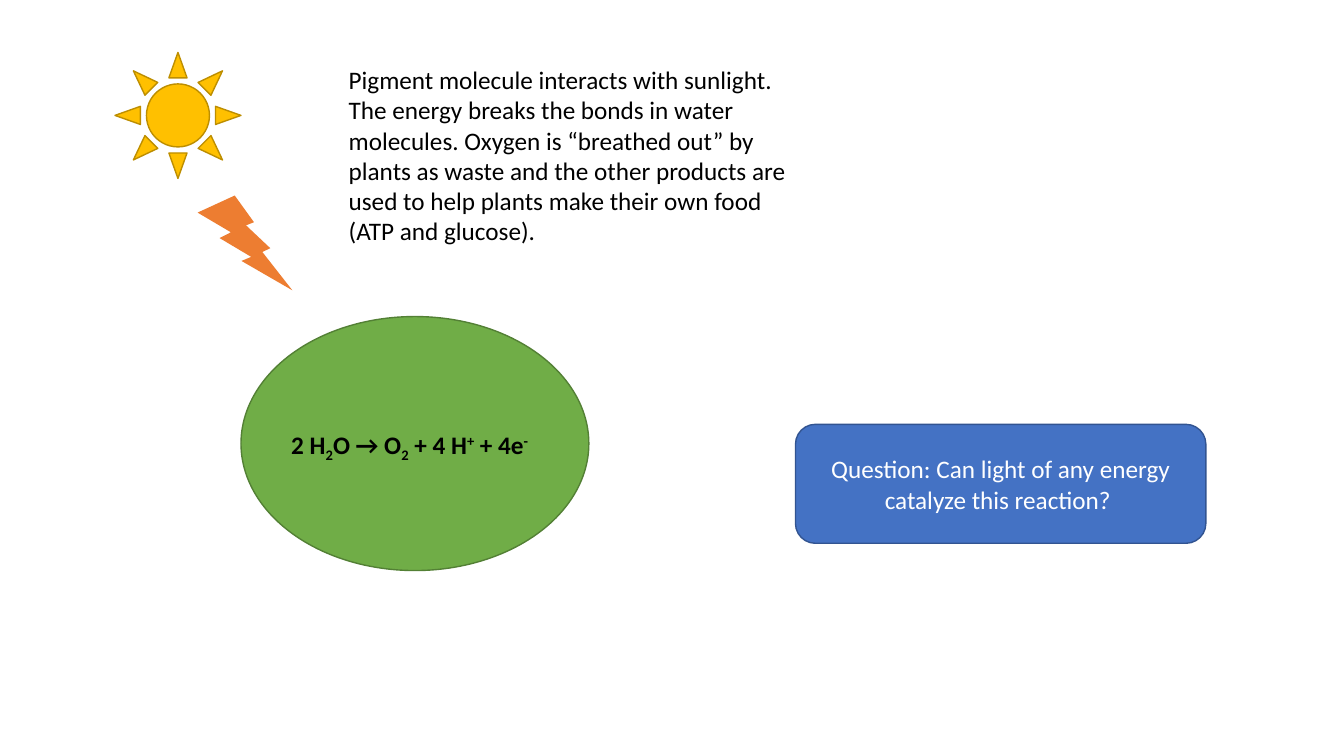
"""Build a slide on how sunlight splits water in plants."""
from pptx import Presentation
from pptx.dml.color import RGBColor
from pptx.enum.shapes import MSO_SHAPE
from pptx.enum.text import MSO_ANCHOR, PP_ALIGN
from pptx.util import Inches, Pt


def color(code):
    return RGBColor.from_string(code)


def write(para, text, code, bold=False, base=0):
    run = para.add_run()
    run.text = text
    run.font.name = "Calibri"
    run.font.size = Pt(18)
    run.font.bold = bold
    run.font.color.rgb = color(code)
    if base:
        run._r.get_or_add_rPr().set("baseline", str(base * 1000))


deck = Presentation()
deck.slide_width = Inches(13.33)
deck.slide_height = Inches(7.5)
slide = deck.slides.add_slide(deck.slide_layouts[6])

shapes = [
    (MSO_SHAPE.OVAL, (2.39, 3.14, 3.45, 2.52), "70AD47", "538035"),
    (MSO_SHAPE.SUN, (1.14, 0.52, 1.25, 1.25), "FFC000", "BD8E00"),
    (MSO_SHAPE.LIGHTNING_BOLT, (1.96, 1.94, 0.94, 0.94), "ED7D31", None),
    (MSO_SHAPE.ROUNDED_RECTANGLE, (7.89, 4.21, 4.07, 1.18), "4472C4", "325491"),
]
for kind, place, fill, line in shapes:
    shape = slide.shapes.add_shape(kind, *map(Inches, place))
    shape.shadow.inherit = False
    shape.fill.solid()
    shape.fill.fore_color.rgb = color(fill)
    if line:
        shape.line.color.rgb = color(line)
        shape.line.width = Pt(1)
    else:
        shape.line.fill.background()

question = shape.text_frame
question.word_wrap = True
question.vertical_anchor = MSO_ANCHOR.MIDDLE
para = question.paragraphs[0]
para.alignment = PP_ALIGN.CENTER
write(para, "Question: Can light of any energy catalyze this reaction? ", "FFFFFF")

story = (
    "Pigment molecule interacts with sunlight. The energy breaks the bonds in "
    "water molecules. Oxygen is “breathed out” by plants as waste and the other "
    "products are used to help plants make their own food (ATP and glucose)."
)
formula = [
    ("2 H", 0), ("2", -25), ("O → O", 0), ("2", -25),
    (" + 4 H", 0), ("+", 30), (" + 4e", 0), ("-", 30),
]
texts = [
    ((3.36, 0.59, 4.71, 1.92), [(story, 0)], False),
    ((2.79, 4.21, 3, 0.4), formula, True),
]
for place, parts, bold in texts:
    frame = slide.shapes.add_textbox(*map(Inches, place)).text_frame
    frame.word_wrap = True
    for text, base in parts:
        write(frame.paragraphs[0], text, "000000", bold, base)

deck.save("out.pptx")
